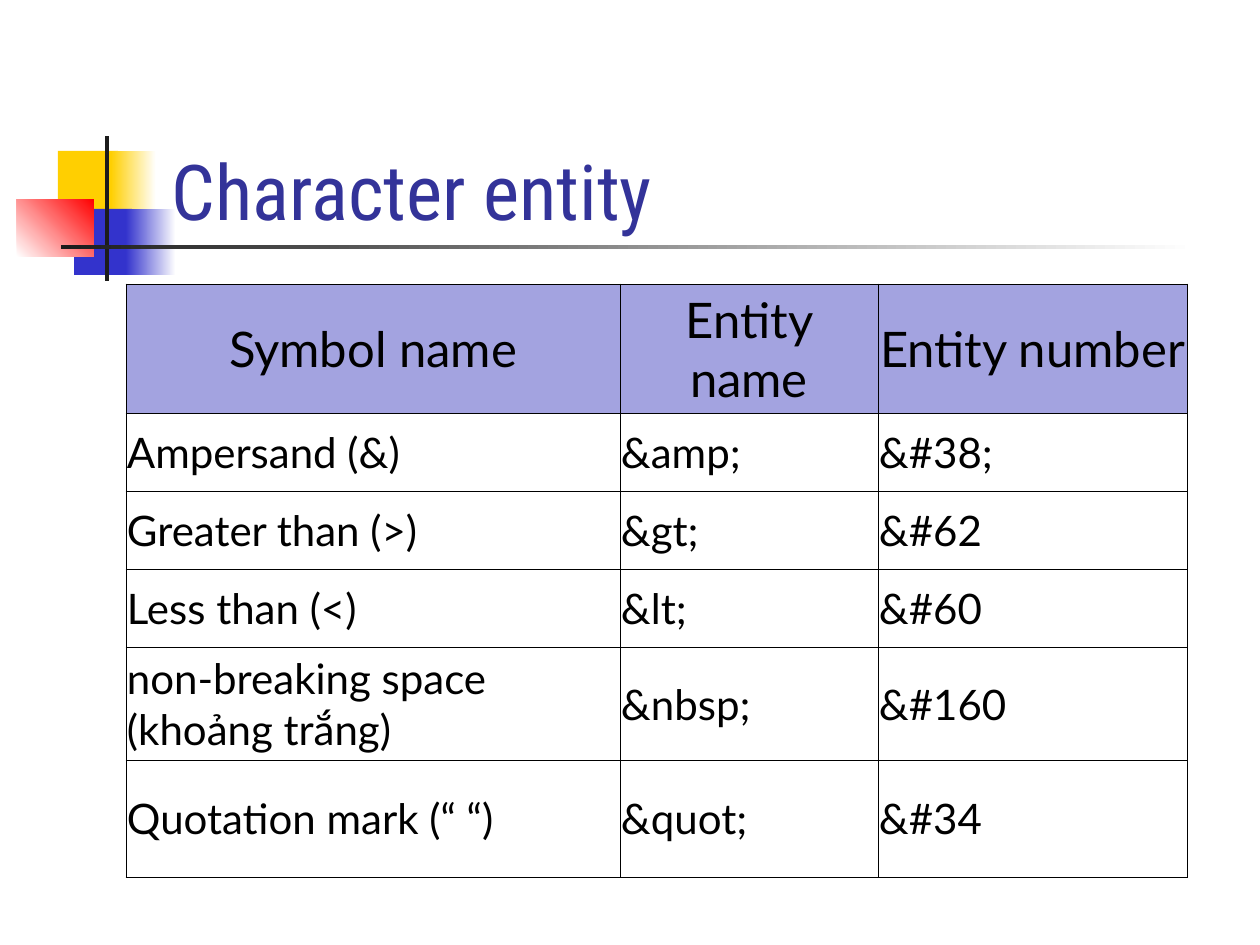
from lxml import etree
from pptx import Presentation
from pptx.dml.color import RGBColor as RGB
from pptx.enum.shapes import MSO_SHAPE as SHAPE
from pptx.enum.text import MSO_ANCHOR as ANCHOR, MSO_AUTO_SIZE as AUTO, PP_ALIGN as ALIGN
from pptx.oxml.ns import qn
from pptx.util import Pt

# Content
TITLE = "Character entity"
ROWS = [
    ("Symbol name", "Entity name", "Entity number"),
    ("Ampersand (&)", "&amp;", "&#38;"),
    ("Greater than (>)", "&gt;", "&#62"),
    ("Less than (<)", "&lt;", "&#60"),
    ("non-breaking space (khoảng trắng)", "&nbsp;", "&#160"),
    ("Quotation mark (“ “)", "&quot;", "&#34"),
]
C = {"yellow": "FFCF01", "blue": "3333CC", "red": "FF0000", "white": "FFFFFF",
     "dark": "1C1C1C", "title": "333399", "header": "A3A3E0", "black": "000000"}

# Layout in px: 126 to the inch
SCALE = 914400 / 126
COLS = [494, 258, 309]
HEIGHTS = [118, 78, 78, 78, 102, 117]
TABLE_AT = (126, 284)
TITLE_AT = (159, 84, 1074, 158)
# Box, fill colours (two make a gradient), gradient angle
ORNAMENT = [
    ((58, 151, 60, 66), ["yellow"], 0),
    ((111, 151, 45, 66), ["yellow", "white"], 0),
    ((74, 209, 58, 66), ["blue"], 0),
    ((126, 209, 50, 66), ["blue", "white"], 0),
    ((17, 199, 77, 58), ["white", "red"], 45),
    ((105, 136, 4, 145), ["dark"], 0),
    ((61, 245, 1134, 4), ["dark", "white"], 0),
]


def px(n):
    return round(n * SCALE)


def rgb(name):
    return RGB.from_string(C[name])


def write(tf, text, *, size, font, color, align=ALIGN.LEFT):
    p = tf.paragraphs[0]
    p.alignment = align
    r = p.add_run()
    r.text = text
    r.font.size, r.font.name = Pt(size), font
    r.font.color.rgb = rgb(color)


def paint(fill, colors, angle):
    if len(colors) == 1:
        fill.solid()
        fill.fore_color.rgb = rgb(colors[0])
        return
    fill.gradient()
    fill.gradient_angle = angle
    for stop, color, position in zip(fill.gradient_stops, colors, (0, 1)):
        stop.color.rgb = rgb(color)
        stop.position = position


def add_borders(cell):
    tcPr = cell._tc.get_or_add_tcPr()
    for i, side in enumerate(("lnL", "lnR", "lnT", "lnB")):
        ln = etree.Element(qn("a:" + side), w=str(Pt(0.45)))
        fill = etree.SubElement(ln, qn("a:solidFill"))
        etree.SubElement(fill, qn("a:srgbClr"), val=C["black"])
        tcPr.insert(i, ln)


prs = Presentation()
prs.slide_width, prs.slide_height = px(1260), px(945)
s = prs.slides.add_slide(prs.slide_layouts[5])

# Ornament
for box, colors, angle in ORNAMENT:
    sp = s.shapes.add_shape(SHAPE.RECTANGLE, *map(px, box))
    sp.shadow.inherit = False
    sp.line.fill.background()
    paint(sp.fill, colors, angle)

# Title, in front of the ornament
title = s.shapes.title
title.left, title.top, title.width, title.height = map(px, TITLE_AT)
s.shapes._spTree.append(title._element)
tf = title.text_frame
tf.word_wrap, tf.auto_size = True, AUTO.NONE
tf.vertical_anchor = ANCHOR.BOTTOM
write(tf, TITLE, size=44, font="Roboto Condensed", color="title")

# Entity table
table = s.shapes.add_table(len(ROWS), len(COLS), *map(px, TABLE_AT),
                           px(sum(COLS)), px(sum(HEIGHTS))).table
table.first_row = table.horz_banding = False
for column, width in zip(table.columns, COLS):
    column.width = px(width)
for row, height in zip(table.rows, HEIGHTS):
    row.height = px(height)
for i, texts in enumerate(ROWS):
    header = i == 0
    for j, text in enumerate(texts):
        cell = table.cell(i, j)
        cell.margin_left = cell.margin_right = px(1)
        cell.margin_top = cell.margin_bottom = px(6)
        cell.vertical_anchor = ANCHOR.MIDDLE
        if header:
            paint(cell.fill, ["header"], 0)
        else:
            cell.fill.background()
        add_borders(cell)
        write(cell.text_frame, text, size=28 if header else 24, font="Lato",
              color="black", align=ALIGN.CENTER if header else ALIGN.LEFT)

prs.save("out.pptx")
